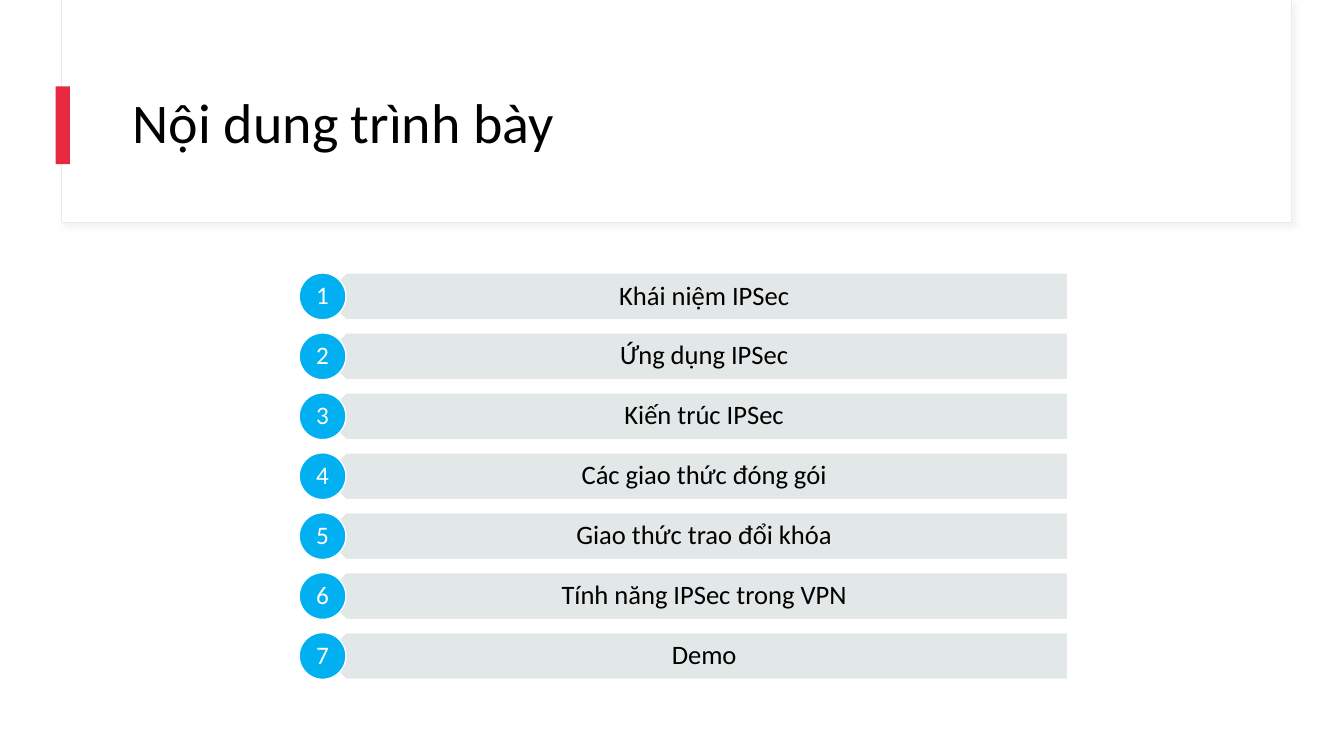
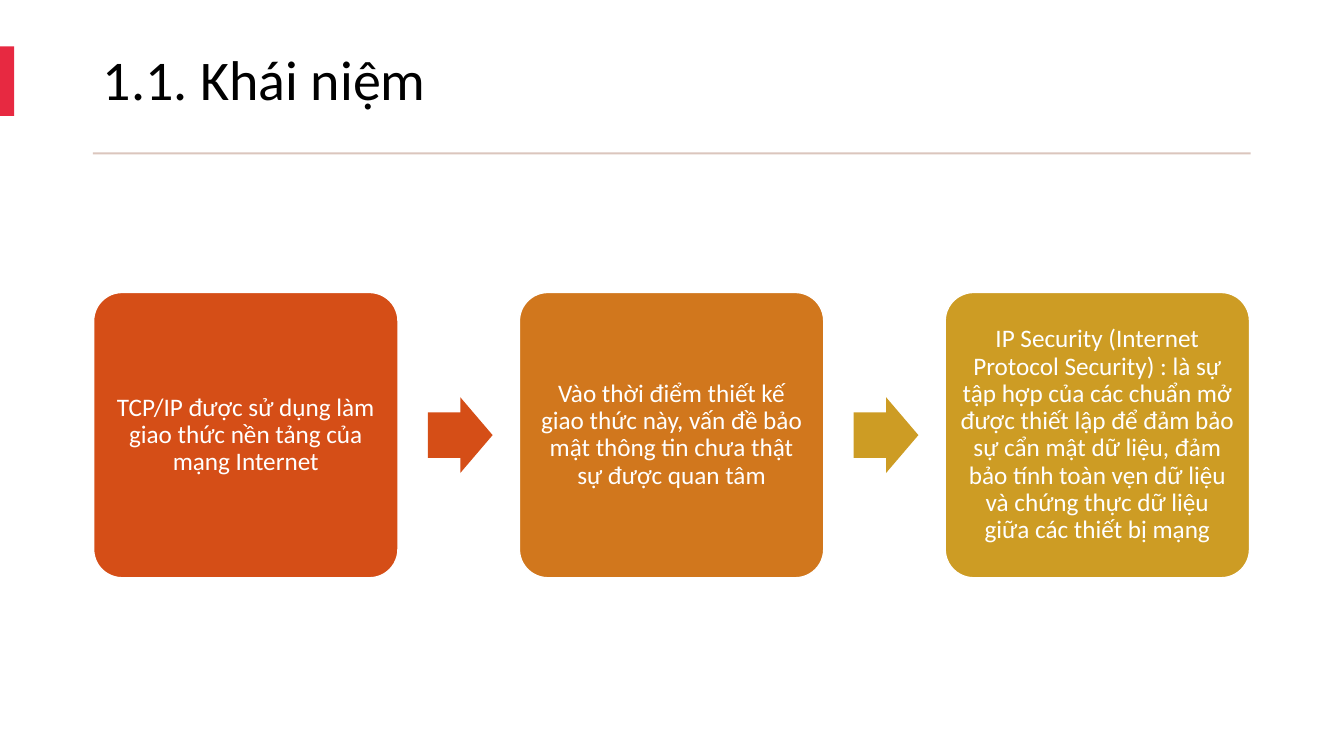
from lxml import etree
from pptx import Presentation
from pptx.dml.color import RGBColor
from pptx.enum.shapes import MSO_SHAPE
from pptx.enum.text import MSO_ANCHOR, PP_ALIGN
from pptx.oxml.ns import qn
from pptx.util import Cm, Pt

RECT, OVAL = MSO_SHAPE.RECTANGLE, MSO_SHAPE.OVAL
PENTAGON, ROUNDED = MSO_SHAPE.PENTAGON, MSO_SHAPE.ROUNDED_RECTANGLE
ARROW = MSO_SHAPE.RIGHT_ARROW
LEFT, CENTER = PP_ALIGN.LEFT, PP_ALIGN.CENTER
MIDDLE = MSO_ANCHOR.MIDDLE

FONT = "Calibri"
COLORS = {
    "white": "FFFFFF", "black": "000000", "accent": "E72941",
    "panel_edge": "F0E8E5", "panel_shadow": "D9D9D9", "rule": "DBC6BD",
    "bar": "E2E8E7", "number": "00B0F0",
    "red": "D54E17", "orange": "D1771D", "gold": "CD9C24",
}

AGENDA_TITLE = "Nội dung trình bày"
AGENDA = [
    "Khái niệm IPSec",
    "Ứng dụng IPSec",
    "Kiến trúc IPSec",
    "Các giao thức đóng gói",
    "Giao thức trao đổi khóa",
    "Tính năng IPSec trong VPN",
    "Demo",
]

CONCEPT_TITLE = "1.1. Khái niệm"
# Text, box colour, colour of the arrow that follows
CONCEPTS = [
    ("TCP/IP được sử dụng làm giao thức nền tảng của mạng Internet",
     "red", "red"),
    ("Vào thời điểm thiết kế giao thức này, vấn đề bảo mật thông tin "
     "chưa thật sự được quan tâm", "orange", "gold"),
    ("IP Security (Internet Protocol Security) : là sự tập hợp của các "
     "chuẩn mở được thiết lập để đảm bảo sự cẩn mật dữ liệu, đảm bảo tính "
     "toàn vẹn dữ liệu và chứng thực dữ liệu giữa các thiết bị mạng",
     "gold", None),
]


def rgb(name):
    return RGBColor.from_string(COLORS[name])


def add_block(slide, kind, box, fill, edge=None, edge_width=1):
    """Add a flat preset shape; box is left, top, width, height in cm."""
    block = slide.shapes.add_shape(kind, *map(Cm, box))
    block.shadow.inherit = False
    block.fill.solid()
    block.fill.fore_color.rgb = rgb(fill)
    if edge:
        block.line.color.rgb = rgb(edge)
        block.line.width = Pt(edge_width)
    else:
        block.line.fill.background()
    return block


def write(holder, text, size, color, align=CENTER, insets=(0.25, 0.13, 0.25, 0.13)):
    """Set the text; insets are left, top, right, bottom in cm."""
    frame = holder.text_frame
    frame.word_wrap = True
    frame.vertical_anchor = MIDDLE
    (frame.margin_left, frame.margin_top,
     frame.margin_right, frame.margin_bottom) = map(Cm, insets)
    frame.text = text
    paragraph = frame.paragraphs[0]
    paragraph.alignment = align
    paragraph.line_spacing = 0.9
    font = paragraph.runs[0].font
    font.name, font.size, font.color.rgb = FONT, Pt(size), rgb(color)


def add_title(slide, text, title_box, tick_box):
    add_block(slide, RECT, tick_box, "accent")
    title = slide.shapes.add_textbox(*map(Cm, title_box))
    write(title, text, 40, "black", LEFT)


def add_soft_shadow(block, color):
    effects = block._element.spPr.find(qn("a:effectLst"))
    shadow = etree.SubElement(
        effects, qn("a:outerShdw"), blurRad=str(Pt(4)), dist=str(Pt(3)),
        dir="2700000", algn="tl", rotWithShape="0")
    tint = etree.SubElement(shadow, qn("a:srgbClr"), val=COLORS[color])
    etree.SubElement(tint, qn("a:alpha"), val="30000")


def build_agenda(slide):
    panel = add_block(slide, RECT, (1.55, 0, 31.01, 5.61), "white", "panel_edge", 0.75)
    add_soft_shadow(panel, "panel_shadow")
    add_title(slide, AGENDA_TITLE, (3.1, 1.52, 28.24, 3.28), (1.4, 2.18, 0.36, 1.96))

    first_top, pitch, height = 6.88, 1.51, 1.18
    number_left, bar_left, label_left, right = 7.54, 8.13, 8.43, 26.91
    for index, topic in enumerate(AGENDA):
        top = first_top + index * pitch
        bar = add_block(slide, PENTAGON, (bar_left, top, right - bar_left, height),
                        "bar", "white")
        bar.rotation = 180
        label = slide.shapes.add_textbox(
            *map(Cm, (label_left, top, right - label_left, height)))
        write(label, topic, 19, "black", insets=(0.53, 0.2, 0.38, 0.2))
        number = add_block(slide, OVAL, (number_left, top, height, height),
                           "number", "white")
        write(number, str(index + 1), 18, "white", insets=(0, 0, 0, 0))


def build_concept(slide):
    left, width = 2.34, 29.18
    add_title(slide, CONCEPT_TITLE, (left, 0.69, width, 2.79), (0, 1.17, 0.36, 1.75))
    add_block(slide, RECT, (left, 3.84, width, 0.05), "rule")

    first_left, top, pitch = 2.36, 7.37, 10.73
    box_width, box_height = 7.67, 7.19
    arrow_width, arrow_height = 1.63, 1.91
    arrow_offset = box_width + (pitch - box_width - arrow_width) / 2 + 0.04
    arrow_top = top + (box_height - arrow_height) / 2
    for index, (text, color, arrow_color) in enumerate(CONCEPTS):
        box_left = first_left + index * pitch
        box = add_block(slide, ROUNDED, (box_left, top, box_width, box_height),
                        color, "white")
        box.adjustments[0] = 0.1
        write(box, text, 18, "white", insets=(0.18,) * 4)
        if arrow_color:
            arrow = add_block(
                slide, ARROW,
                (box_left + arrow_offset, arrow_top, arrow_width, arrow_height),
                arrow_color)
            arrow.adjustments[0] = 0.6
            arrow.adjustments[1] = 0.5


def main():
    deck = Presentation()
    deck.slide_width, deck.slide_height = Cm(33.87), Cm(19.05)
    blank = deck.slide_layouts[6]
    for build in (build_agenda, build_concept):
        build(deck.slides.add_slide(blank))
    deck.save("out.pptx")


if __name__ == "__main__":
    main()
